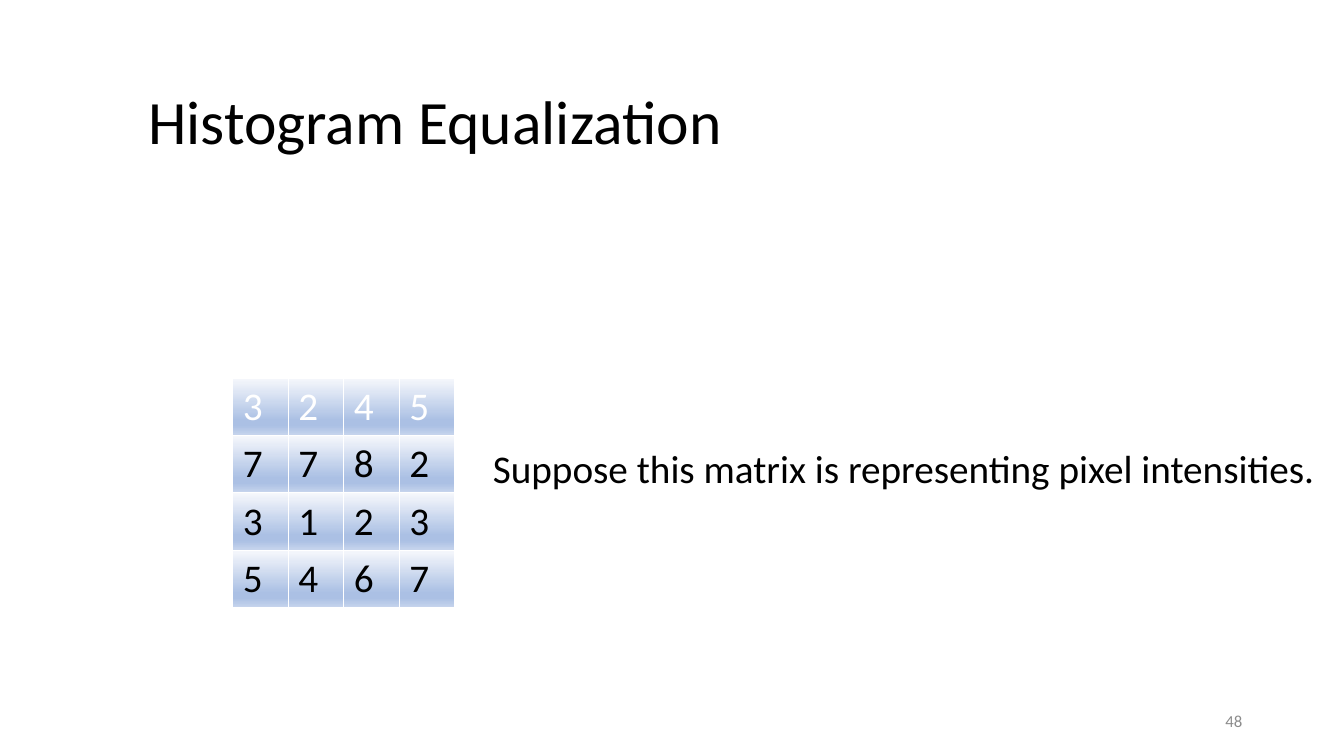
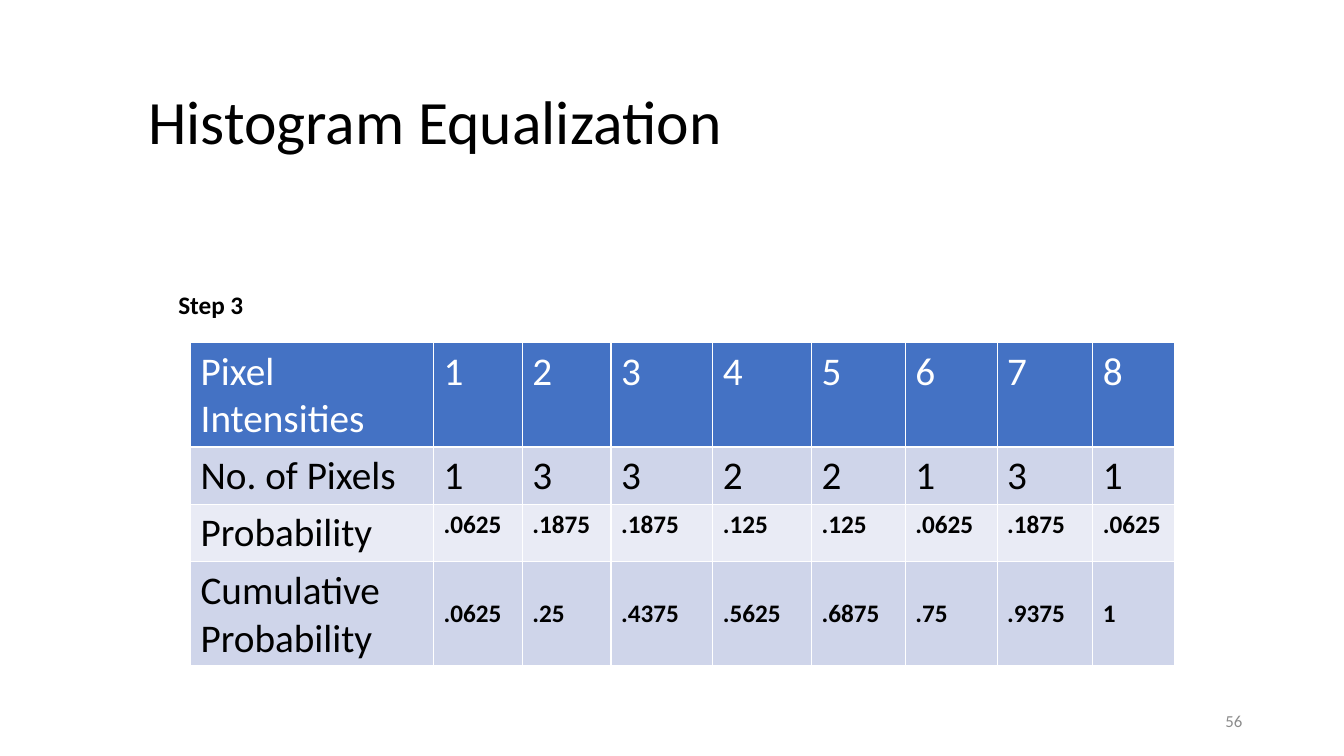
from pptx import Presentation
from pptx.dml.color import RGBColor
from pptx.enum.text import MSO_ANCHOR, MSO_AUTO_SIZE, PP_ALIGN
from pptx.oxml import parse_xml
from pptx.oxml.ns import nsdecls
from pptx.util import Inches, Pt

FONT = "Calibri"
COLORS = {
    "text": "000000",
    "header_text": "FFFFFF",
    "number": "8C8C8C",
    "header": "4472C4",
    "band_dark": "CFD5EA",
    "band_light": "E9EBF5",
}
GRADIENT = [(0, "F6F8FC"), (74, "ABC0E4"), (83, "ABC0E4"), (100, "C7D5ED")]


def style_text(tf, size, color="text", bold=False, align=PP_ALIGN.LEFT):
    for p in tf.paragraphs:
        p.alignment = align
        for r in p.runs:
            r.font.name = FONT
            r.font.size = Pt(size)
            r.font.bold = bold
            r.font.color.rgb = RGBColor.from_string(COLORS[color])


def add_text(slide, box, text, size, color="text", bold=False,
             align=PP_ALIGN.LEFT, anchor=MSO_ANCHOR.TOP, wrap=False):
    tf = slide.shapes.add_textbox(*map(Inches, box)).text_frame
    tf.word_wrap = wrap
    tf.vertical_anchor = anchor
    tf.text = text
    style_text(tf, size, color, bold, align)


def add_base_slide(prs, title, number):
    slide = prs.slides.add_slide(prs.slide_layouts[5])
    sp = slide.shapes.title
    sp.left, sp.top, sp.width, sp.height = map(Inches, (1.37, 0.42, 11.13, 1.63))
    tf = sp.text_frame
    tf.text = title
    tf.auto_size = MSO_AUTO_SIZE.NONE
    tf.vertical_anchor = MSO_ANCHOR.MIDDLE
    tf.paragraphs[0].line_spacing = 0.9
    style_text(tf, 44)
    add_text(slide, (9.42, 6.95, 3, 0.4), str(number), 12, "number",
             align=PP_ALIGN.RIGHT, anchor=MSO_ANCHOR.MIDDLE, wrap=True)
    return slide


def fill_gradient(cell):
    stops = "".join(
        f'<a:gs pos="{pos * 1000}"><a:srgbClr val="{color}"/></a:gs>'
        for pos, color in GRADIENT)
    cell._tc.get_or_add_tcPr().append(parse_xml(
        f'<a:gradFill {nsdecls("a")} rotWithShape="1"><a:gsLst>{stops}</a:gsLst>'
        '<a:lin ang="5400000" scaled="0"/></a:gradFill>'))


def fill_solid(cell, color):
    cell.fill.solid()
    cell.fill.fore_color.rgb = RGBColor.from_string(COLORS[color])


def add_grid(slide, left, top, widths, heights, rows):
    table = slide.shapes.add_table(
        len(rows), len(widths), Inches(left), Inches(top),
        Inches(sum(widths)), Inches(sum(heights))).table
    for column, width in zip(table.columns, widths):
        column.width = Inches(width)
    for row, height, values in zip(table.rows, heights, rows):
        row.height = Inches(height)
        for cell, value in zip(row.cells, values):
            cell.text = value
    return table


def add_matrix(slide, left, top, matrix, cell_width=0.55, cell_height=0.57):
    table = add_grid(slide, left, top, [cell_width] * len(matrix[0]),
                     [cell_height] * len(matrix), matrix)
    for i, row in enumerate(table.rows):
        for cell in row.cells:
            fill_gradient(cell)
            style_text(cell.text_frame, 28, "text" if i else "header_text")


def add_probability_table(slide, left, top, rows):
    widths = [2.41, 0.88, 0.88, 1.01, 0.98, 0.93, 0.91, 0.95, 0.81]
    table = add_grid(slide, left, top, widths, [1.03, 0.57, 0.57, 1.03], rows)
    fills = ["header", "band_dark", "band_light", "band_dark"]
    for i, (row, fill) in enumerate(zip(table.rows, fills)):
        for j, cell in enumerate(row.cells):
            fill_solid(cell, fill)
            small = i >= 2 and j > 0
            style_text(cell.text_frame, 18 if small else 28,
                       "text" if i else "header_text", small)
            if i == 3:
                cell.vertical_anchor = MSO_ANCHOR.MIDDLE


def build_matrix_slide(prs):
    slide = add_base_slide(prs, "Histogram Equalization", 48)
    add_matrix(slide, 2.31, 3.75, ["3245", "7782", "3123", "5467"])
    add_text(slide, (4.79, 4.36, 8.44, 0.57),
             "Suppose this matrix is representing pixel intensities.", 28)


def build_step_slide(prs):
    slide = add_base_slide(prs, "Histogram Equalization", 56)
    add_text(slide, (1.67, 2.82, 0.85, 0.4), "Step 3", 18, bold=True)
    add_probability_table(slide, 1.89, 3.4, [
        ["Pixel Intensities", *"12345678"],
        ["No. of Pixels", *"13322131"],
        ["Probability", ".0625", ".1875", ".1875", ".125", ".125",
         ".0625", ".1875", ".0625"],
        ["Cumulative\nProbability", ".0625", ".25", ".4375", ".5625", ".6875",
         ".75", ".9375", "1"],
    ])


def main():
    prs = Presentation()
    prs.slide_width, prs.slide_height = Inches(13.33), Inches(7.5)
    build_matrix_slide(prs)
    build_step_slide(prs)
    prs.save("out.pptx")


if __name__ == "__main__":
    main()
